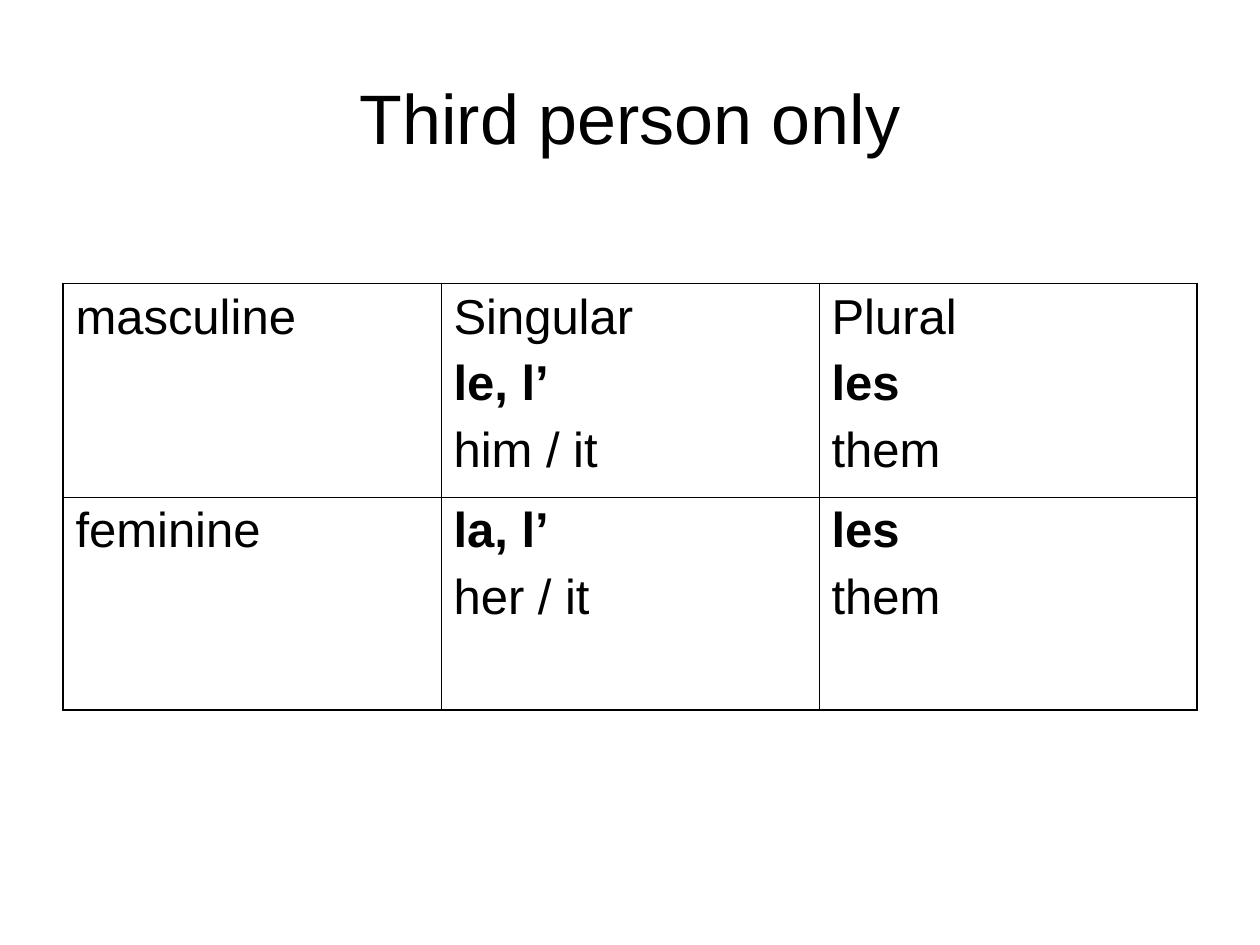
from dataclasses import dataclass

from lxml.etree import SubElement as Sub
from pptx import Presentation
from pptx.dml.color import RGBColor as Color
from pptx.enum.text import MSO_ANCHOR as Anchor, PP_ALIGN as Align
from pptx.oxml.ns import qn
from pptx.util import Inches, Pt

TITLE = "Third person only"
ROWS = [
    [
        [("masculine", False)],
        [("Singular", False), ("le, l’", True), ("him / it", False)],
        [("Plural", False), ("les", True), ("them", False)],
    ],
    [
        [("feminine", False)],
        [("la, l’", True), ("her / it", False)],
        [("les", True), ("them", False)],
    ],
]


@dataclass(frozen=True)
class Theme:
    font: str = "Arial"
    ink: str = "000000"
    paper: str = "FFFFFF"
    title: float = 40
    body: float = 28
    gap: float = 7
    outer: float = 1.08
    inner: float = 0.45


THEME = Theme()
LEFT, WIDTH = 0.5, 9
TOP, ROW_H = 2.25, 1.69


def add_run(para, text, size, bold=False):
    run = para.add_run()
    run.text = text
    font = run.font
    font.name, font.size, font.bold = THEME.font, Pt(size), bold
    font.color.rgb = Color.from_string(THEME.ink)


def add_title(slide):
    box = slide.shapes.add_textbox(Inches(LEFT), Inches(0.3), Inches(WIDTH), Inches(1.25))
    frame = box.text_frame
    frame.word_wrap = True
    frame.vertical_anchor = Anchor.MIDDLE
    para = frame.paragraphs[0]
    para.alignment = Align.CENTER
    add_run(para, TITLE, THEME.title)


def set_edges(cell, edges):
    props = cell._tc.get_or_add_tcPr()
    for spot, (side, edge) in enumerate(edges.items()):
        line = Sub(props, qn(f"a:ln{side}"), w=str(Pt(THEME.outer if edge else THEME.inner)))
        fill = Sub(line, qn("a:solidFill"))
        Sub(fill, qn("a:srgbClr"), val=THEME.ink)
        props.insert(spot, line)


def fill_cell(cell, lines):
    cell.fill.solid()
    cell.fill.fore_color.rgb = Color.from_string(THEME.paper)
    frame = cell.text_frame
    for i, (text, bold) in enumerate(lines):
        para = frame.add_paragraph() if i else frame.paragraphs[0]
        if i:
            para.space_before = Pt(THEME.gap)
        add_run(para, text, THEME.body, bold)


def add_grid(slide):
    rows, cols = len(ROWS), len(ROWS[0])
    grid = slide.shapes.add_table(
        rows, cols, Inches(LEFT), Inches(TOP), Inches(WIDTH), Inches(ROW_H * rows)
    ).table
    grid.first_row = grid.horz_banding = False
    for r, row in enumerate(ROWS):
        for c, lines in enumerate(row):
            cell = grid.cell(r, c)
            fill_cell(cell, lines)
            set_edges(cell, {"L": c == 0, "R": c == cols - 1, "T": r == 0, "B": r == rows - 1})


def main():
    """Build the slide on third person object pronouns."""
    deck = Presentation()
    deck.slide_width, deck.slide_height = Inches(10), Inches(7.5)
    slide = deck.slides.add_slide(deck.slide_layouts[6])
    add_title(slide)
    add_grid(slide)
    deck.save("out.pptx")


if __name__ == "__main__":
    main()
